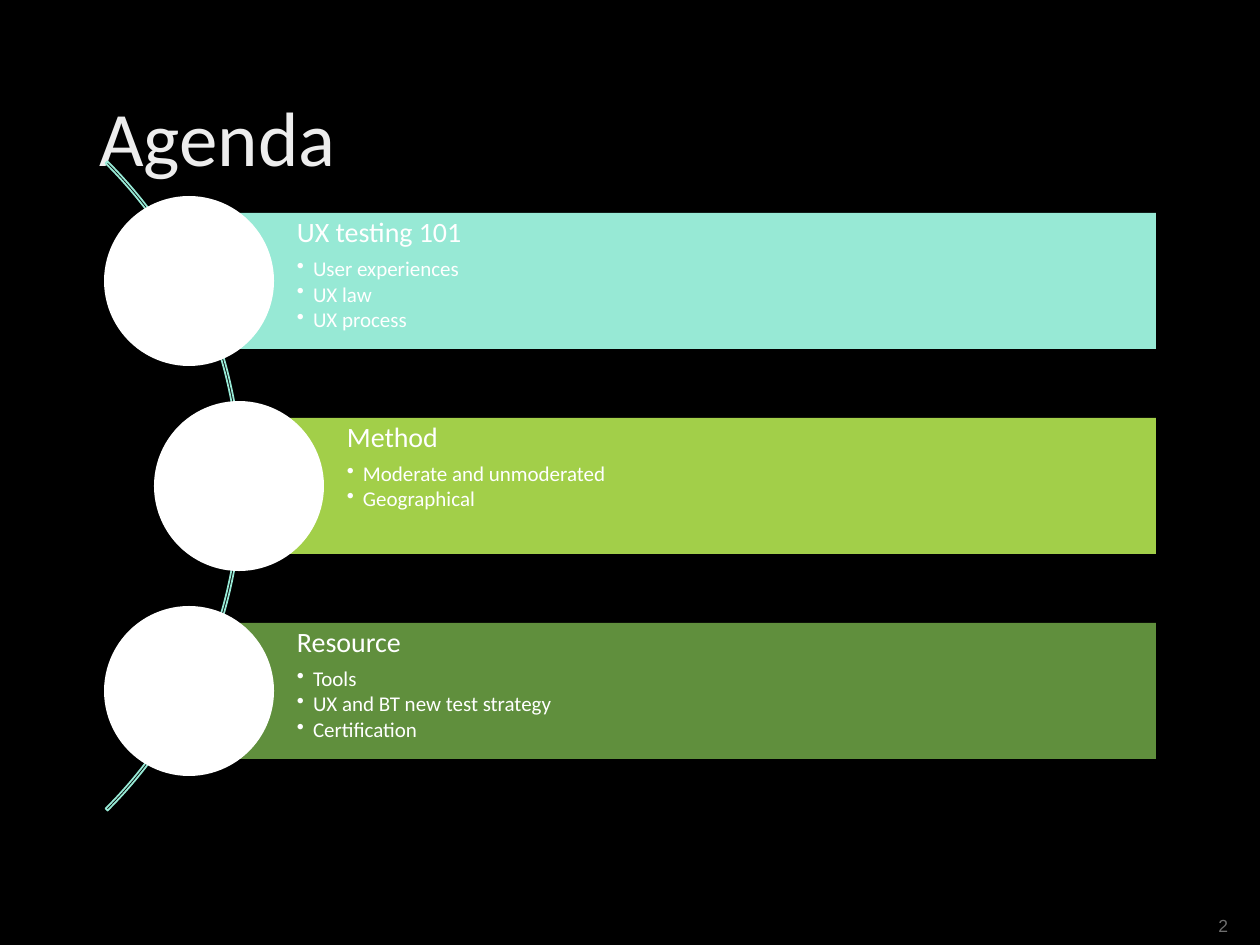
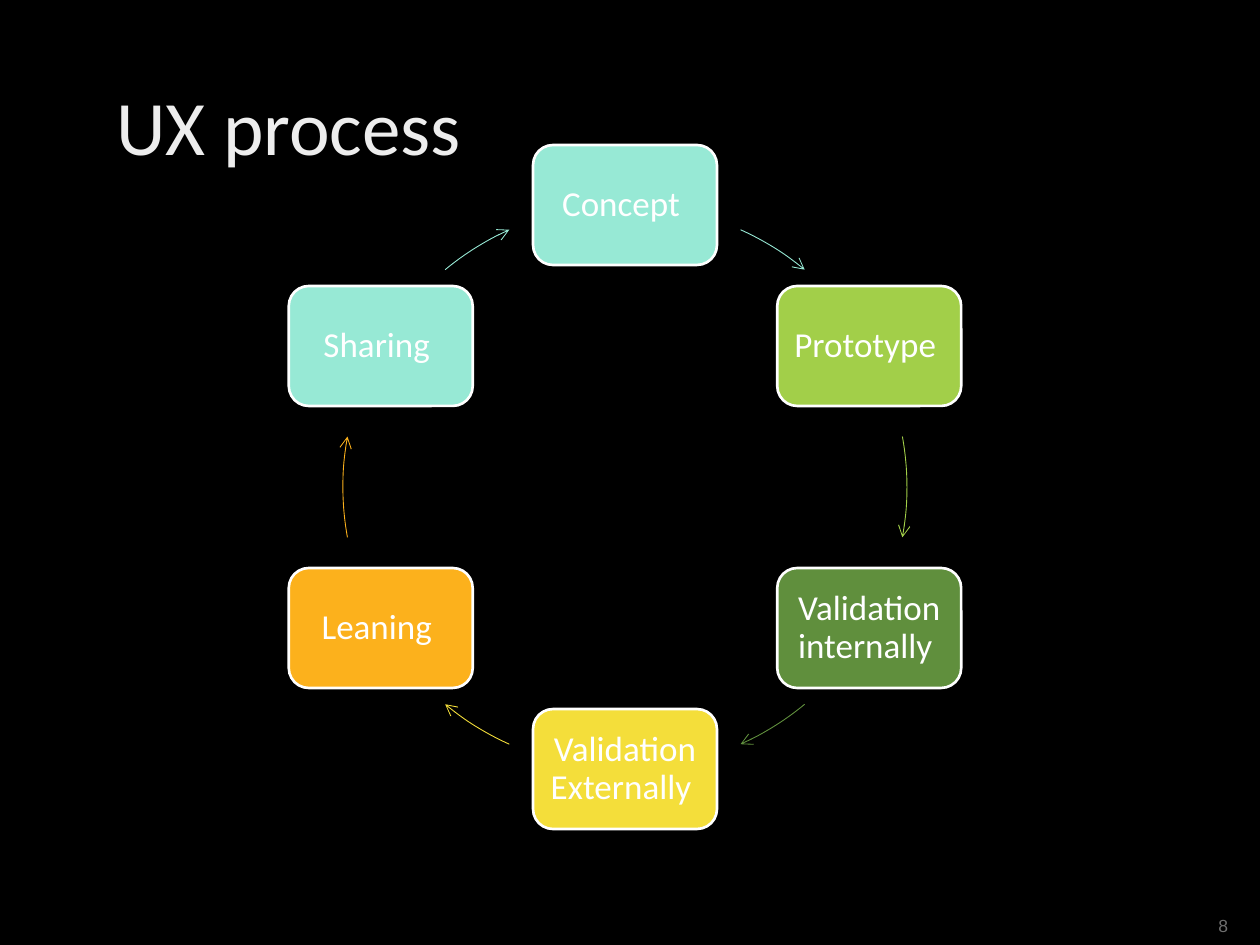
from math import cos, radians, sin

from lxml.etree import SubElement
from pptx import Presentation
from pptx.dml.color import RGBColor
from pptx.enum.shapes import MSO_SHAPE
from pptx.enum.text import MSO_ANCHOR, PP_ALIGN
from pptx.oxml.ns import qn
from pptx.util import Inches, Pt

SCALE = Inches(1) / 126
COLORS = {
    "background": "000000",
    "title": "EDEDED",
    "text": "FFFFFF",
    "number": "6E6E6E",
    "mint": "97E9D5",
    "lime": "A2CF49",
    "green": "608F3D",
    "yellow": "F4DE3A",
    "orange": "FCB11C",
}
FONTS = {
    "title": {"name": "Calibri", "size": Pt(44)},
    "topic": {"name": "Calibri", "size": Pt(16)},
    "point": {"name": "Calibri", "size": Pt(12)},
    "step": {"name": "Calibri", "size": Pt(20)},
    "number": {"name": "Arial", "size": Pt(10)},
}
NUMBER_BOX = (1206, 909, 77, 34)
TOPICS = [
    ("UX testing 101", ["User experiences", "UX law", "UX process"], "mint", 0),
    ("Method", ["Moderate and unmoderated", "Geographical"], "lime", 50),
    ("Resource", ["Tools", "UX and BT new test strategy", "Certification"], "green", 0),
]
STEPS = [
    ("Concept ", "mint"),
    ("Prototype ", "lime"),
    ("Validation internally ", "green"),
    ("Validation Externally ", "yellow"),
    ("Leaning ", "orange"),
    ("Sharing ", "mint"),
]
SWEEPS = [(24.2, 39.6), (79.7, 100.3), (140.4, 155.8)]


def px(length):
    return round(length * SCALE)


def rgb(color):
    return RGBColor.from_string(COLORS[color])


def apply_formats(target, formats):
    for attribute, value in formats.items():
        setattr(target, attribute, value)


def set_frame(frame, anchor, insets=None):
    apply_formats(frame, {"word_wrap": True, "vertical_anchor": anchor})
    if insets:
        sides = ("margin_left", "margin_top", "margin_right", "margin_bottom")
        apply_formats(frame, dict(zip(sides, map(px, insets))))


def write(paragraph, text, style, color="text", **formats):
    apply_formats(paragraph, formats)
    run = paragraph.add_run()
    run.text = text
    apply_formats(run.font, FONTS[style])
    run.font.color.rgb = rgb(color)


def add_bullet(paragraph):
    properties = paragraph._p.get_or_add_pPr()
    properties.set("marL", str(px(16)))
    properties.set("indent", str(px(-16)))
    SubElement(properties, qn("a:buChar")).set("char", "•")


def set_line(shape, color, width):
    shape.line.color.rgb = rgb(color)
    shape.line.width = Pt(width)


def add_preset(slide, preset, box, fill=None):
    shape = slide.shapes.add_shape(preset, *map(px, box))
    shape.shadow.inherit = False
    shape.line.fill.background()
    if fill:
        shape.fill.solid()
        shape.fill.fore_color.rgb = rgb(fill)
    else:
        shape.fill.background()
    return shape


def add_label(slide, box, text, style, color, anchor, **formats):
    frame = slide.shapes.add_textbox(*map(px, box)).text_frame
    set_frame(frame, anchor)
    write(frame.paragraphs[0], text, style, color, **formats)


def add_titled_slide(deck, title, title_box, number):
    slide = deck.slides.add_slide(deck.slide_layouts[6])
    add_label(slide, NUMBER_BOX, number, "number", "number", MSO_ANCHOR.TOP)
    add_label(slide, title_box, title, "title", "title", MSO_ANCHOR.MIDDLE, line_spacing=0.9)
    return slide


def add_topic(slide, box, topic, points, color):
    left, top, width, height = box
    bar = add_preset(slide, MSO_SHAPE.RECTANGLE, box, color)
    frame = bar.text_frame
    set_frame(frame, MSO_ANCHOR.TOP, (108, 5, 5, 5))
    layout = {"alignment": PP_ALIGN.LEFT, "line_spacing": 0.9}
    write(frame.paragraphs[0], topic, "topic", space_after=Pt(5.6), **layout)
    for point in points:
        paragraph = frame.add_paragraph()
        add_bullet(paragraph)
        write(paragraph, point, "point", space_after=Pt(1.8), **layout)
    diameter = height * 5 // 4
    disc_box = (left - diameter / 2, top + (height - diameter) / 2, diameter, diameter)
    add_preset(slide, MSO_SHAPE.OVAL, disc_box, "text")


def add_agenda(slide, box):
    left, top, width, height = box
    diameter, bar_height = 918, 136
    arc_box = (left + 53 - diameter, top + (height - diameter) / 2, diameter, diameter)
    arc = add_preset(slide, MSO_SHAPE.BLOCK_ARC, arc_box)
    for index, value in enumerate((189, 27, 0.003)):
        arc.adjustments[index] = value
    set_line(arc, "mint", 1)
    pitch = (height - bar_height) / (len(TOPICS) - 1)
    for row, (topic, points, color, shift) in enumerate(TOPICS):
        bar_box = (left + shift, top + row * pitch, width - shift, bar_height)
        add_topic(slide, bar_box, topic, points, color)


def add_step(slide, center, step, color):
    width, height = 184, 120
    box = (center[0] - width / 2, center[1] - height / 2, width, height)
    node = add_preset(slide, MSO_SHAPE.ROUNDED_RECTANGLE, box, color)
    set_line(node, "text", 1.5)
    set_frame(node.text_frame, MSO_ANCHOR.MIDDLE, (10, 10, 10, 10))
    write(node.text_frame.paragraphs[0], step, "step",
          alignment=PP_ALIGN.CENTER, line_spacing=0.9)


def add_ring_arrow(slide, box, sweep, color):
    arrow = add_preset(slide, MSO_SHAPE.ARC, box)
    for index, angle in enumerate(sweep):
        arrow.adjustments[index] = (angle - 90) % 360 * 0.6
    set_line(arrow, color, 0.5)
    SubElement(arrow.line._get_or_add_ln(), qn("a:tailEnd")).set("type", "arrow")


def add_cycle(slide, box):
    left, top, width, height = box
    radius = width / 2
    for index, (step, color) in enumerate(STEPS):
        turn = radians(index * 360 / len(STEPS))
        center = (left + radius * (1 + sin(turn)), top + radius * (1 - cos(turn)))
        add_step(slide, center, step, color)
        half, position = divmod(index, len(SWEEPS))
        sweep = [angle + 180 * half for angle in SWEEPS[position]]
        add_ring_arrow(slide, box, sweep, color)


def main():
    deck = Presentation()
    apply_formats(deck, {"slide_width": px(1260), "slide_height": px(945)})
    background = deck.slide_master.background.fill
    background.solid()
    background.fore_color.rgb = rgb("background")
    agenda = add_titled_slide(deck, "Agenda", (87, 50, 1086, 183), "2")
    add_agenda(agenda, (189, 213, 967, 546))
    process = add_titled_slide(deck, "UX process", (104, 63, 1071, 136), "8")
    add_cycle(process, (343, 205, 564, 564))
    deck.save("out.pptx")


if __name__ == "__main__":
    main()
